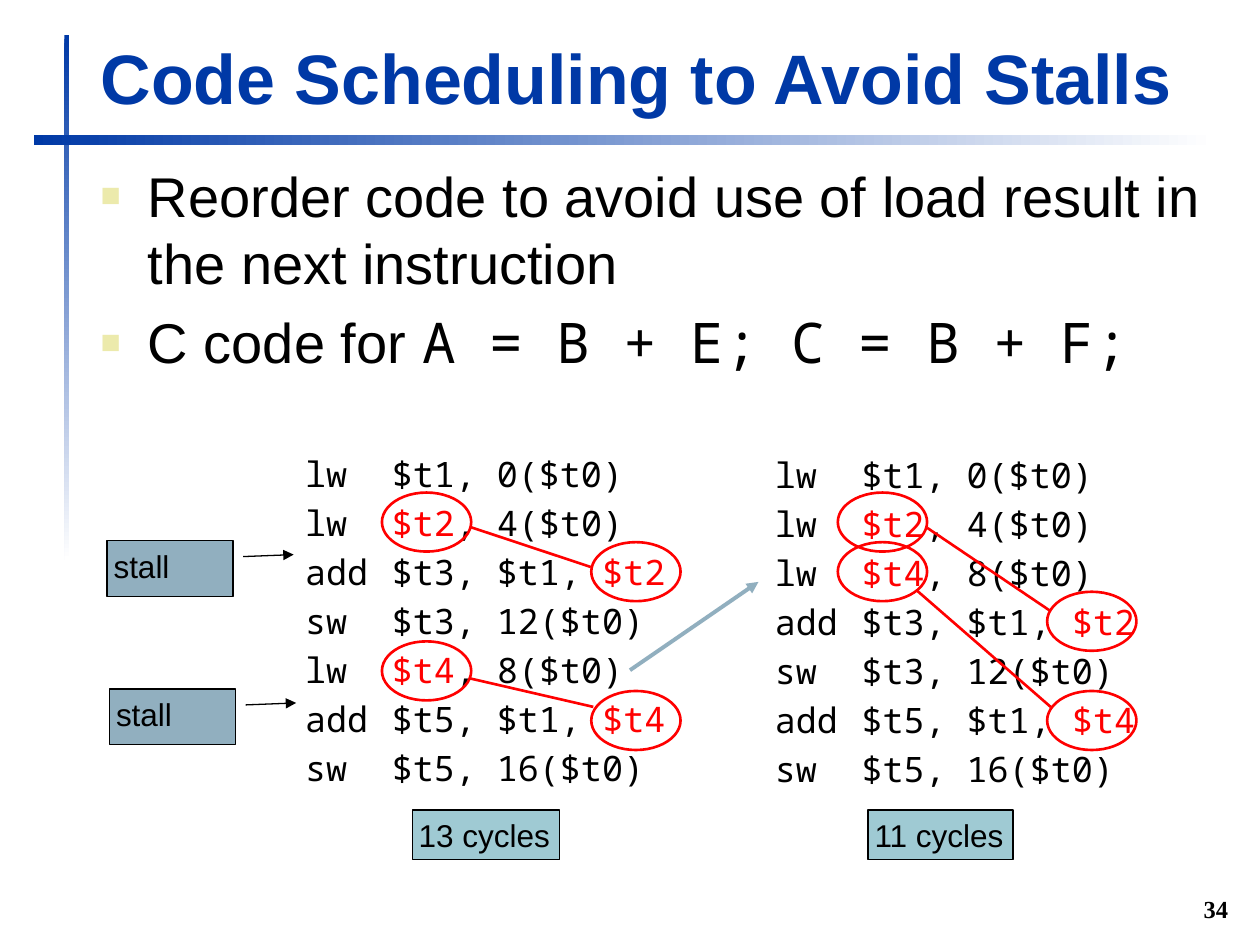
from lxml.etree import SubElement
from pptx import Presentation
from pptx.dml.color import RGBColor
from pptx.enum.shapes import MSO_CONNECTOR, MSO_SHAPE
from pptx.enum.text import MSO_ANCHOR, PP_ALIGN
from pptx.oxml.ns import qn
from pptx.util import Cm, Pt

BLUE = RGBColor(0x00, 0x39, 0xA6)
WHITE = RGBColor(0xFF, 0xFF, 0xFF)
BLACK = RGBColor(0x00, 0x00, 0x00)
RED = RGBColor(0xFF, 0x00, 0x00)
STEEL = RGBColor(0x91, 0xAF, 0xBF)
TEAL = RGBColor(0x9F, 0xCA, 0xD3)
BULLET = RGBColor(0xEC, 0xEA, 0xAC)
SANS, MONO, SERIF = "Arial", "Noto Sans Mono", "Times New Roman"

RING_WIDTH, RING_HEIGHT = 1.8, 1.19
RING_COLUMN_STEP, ROW_STEP = 4.22, 1.0

# Parts between bars are highlighted.
ORIGINAL_CODE = [
    "lw\t$t1, 0($t0)",
    "lw\t|$t2|, 4($t0)",
    "add\t$t3, $t1, |$t2|",
    "sw\t$t3, 12($t0)",
    "lw\t|$t4|, 8($t0)",
    "add\t$t5, $t1, |$t4|",
    "sw\t$t5, 16($t0)",
]
# The second load moves up to the third line.
REORDERED_CODE = (ORIGINAL_CODE[:2] + [ORIGINAL_CODE[4]]
                  + ORIGINAL_CODE[2:4] + ORIGINAL_CODE[5:])


def add_shape(shapes, kind, box, fill=None, line=None, line_width=0.75):
    shape = shapes.add_shape(kind, *[Cm(value) for value in box])
    shape.shadow.inherit = False
    if fill is None:
        shape.fill.background()
    else:
        shape.fill.solid()
        shape.fill.fore_color.rgb = fill
    if line is None:
        shape.line.fill.background()
    else:
        shape.line.color.rgb = line
        shape.line.width = Pt(line_width)
    return shape


def add_line(shapes, start, end, color, width, arrow=False):
    connector = shapes.add_connector(
        MSO_CONNECTOR.STRAIGHT, *[Cm(value) for value in (*start, *end)])
    connector.line.color.rgb = color
    connector.line.width = Pt(width)
    if arrow:
        SubElement(connector.line._get_or_add_ln(), qn("a:tailEnd"), type="triangle")
    SubElement(connector._element.spPr, qn("a:effectLst"))
    return connector


def write_text(shape, paragraphs, size=18, font=SANS, color=BLACK, bold=False,
               align=PP_ALIGN.LEFT, anchor=MSO_ANCHOR.TOP, wrap=True, space_before=0):
    """Each paragraph is a list of (text, overrides) runs."""
    frame = shape.text_frame
    frame.word_wrap = wrap
    frame.vertical_anchor = anchor
    frame.margin_left = frame.margin_right = Cm(0.13)
    frame.margin_top = frame.margin_bottom = Cm(0.13)
    for index, runs in enumerate(paragraphs):
        paragraph = frame.paragraphs[0] if index == 0 else frame.add_paragraph()
        paragraph.alignment = align
        paragraph.space_before = Pt(space_before)
        for text, overrides in runs:
            run = paragraph.add_run()
            run.text = text
            run.font.size = Pt(size)
            run.font.bold = bold
            run.font.name = overrides.get("font", font)
            run.font.color.rgb = overrides.get("color", color)
    return frame


def add_text(shapes, box, paragraphs, **text_format):
    text_box = shapes.add_textbox(*[Cm(value) for value in box])
    return write_text(text_box, paragraphs, **text_format)


def add_gradient_bar(shapes, box, angle):
    bar = add_shape(shapes, MSO_SHAPE.RECTANGLE, box)
    bar.fill.gradient()
    bar.fill.gradient_angle = angle
    for stop, color in zip(bar.fill.gradient_stops, (BLUE, WHITE)):
        stop.color.rgb = color
    bar.fill.gradient_stops[0].position = 0
    bar.fill.gradient_stops[1].position = 1


def add_header(shapes, left, top, width, height):
    add_gradient_bar(shapes, (left + 0.61, top, 0.1, 10.59), 270)
    add_gradient_bar(shapes, (left, top + 2.01, width, 0.2), 0)
    add_text(shapes, (left + 1.21, top - 0.3, 22.94, height),
             [[("Code Scheduling to Avoid Stalls", {})]],
             size=40, color=BLUE, bold=True, anchor=MSO_ANCHOR.BOTTOM)


def add_bullets(shapes, box):
    frame = add_text(shapes, box, [
        [("Reorder code to avoid use of load result in the next instruction", {})],
        [("C code for ", {}), ("A = B + E; C = B + F;", {"font": MONO})],
    ], size=32, space_before=7)
    for paragraph in frame.paragraphs:
        properties = paragraph._p.get_or_add_pPr()
        properties.set("marL", str(Cm(0.95)))
        properties.set("indent", str(-Cm(0.95)))
        color = SubElement(properties, qn("a:buClr"))
        SubElement(color, qn("a:srgbClr"), val=str(BULLET))
        SubElement(properties, qn("a:buSzPct"), val="60000")
        SubElement(properties, qn("a:buFont"), typeface=SANS)
        SubElement(properties, qn("a:buChar"), char="■")


def add_listing(shapes, left, top, code, ring_origin, rings, links):
    """Code with ringed registers (column, row) and the links between them."""
    paragraphs = [
        [(part, {"color": RED} if index % 2 else {})
         for index, part in enumerate(line.split("|")) if part]
        for line in code
    ]
    frame = add_text(shapes, (left, top, 7.98, 6.2), paragraphs,
                     size=20, font=MONO, space_before=4)
    for paragraph in frame.paragraphs:
        tabs = SubElement(paragraph._p.get_or_add_pPr(), qn("a:tabLst"))
        SubElement(tabs, qn("a:tab"), pos=str(Cm(1.75)), algn="l")
    for column, row in rings:
        add_shape(shapes, MSO_SHAPE.OVAL,
                  (left + ring_origin[0] + column * RING_COLUMN_STEP,
                   top + ring_origin[1] + row * ROW_STEP, RING_WIDTH, RING_HEIGHT),
                  line=RED, line_width=1.5)
    for start, end in links:
        add_line(shapes, (left + start[0], top + start[1]),
                 (left + end[0], top + end[1]), RED, 1.5)


def add_stall(shapes, left, top, width, height):
    group = shapes.add_group_shape().shapes
    add_shape(group, MSO_SHAPE.RECTANGLE, (left, top, width, height), STEEL, BLACK)
    add_line(group, (left + 2.74, top + 0.32), (left + 3.76, top + 0.28),
             BLACK, 0.75, arrow=True)
    add_text(group, (left, top, width, 0.97), [[("stall", {})]])


def add_cycle_count(shapes, box, text):
    label = add_shape(shapes, MSO_SHAPE.RECTANGLE, box, TEAL, BLACK)
    write_text(label, [[(text, {})]], wrap=False)


def main():
    presentation = Presentation()
    presentation.slide_width, presentation.slide_height = Cm(25.4), Cm(19.05)
    shapes = presentation.slides.add_slide(presentation.slide_layouts[6]).shapes

    # Title, rules and bullets
    add_header(shapes, 0.69, 0.71, 23.8, 2.11)
    add_bullets(shapes, (1.9, 3.12, 22.99, 5.13))

    # Code before and after scheduling
    add_listing(shapes, 6.02, 8.99, ORIGINAL_CODE, (1.68, -0.06),
                [(0, 1), (1, 2), (0, 4), (1, 5)],
                [((3.45, 1.63), (5.89, 2.44)), ((3.43, 4.68), (5.94, 5.26))])
    add_listing(shapes, 15.49, 9.02, REORDERED_CODE, (1.4, -0.09),
                [(0, 1), (1, 3), (0, 2), (1, 5)],
                [((3.2, 1.62), (5.69, 3.3)), ((3, 2.89), (5.69, 5.23))])
    add_line(shapes, (12.7, 13.51), (15.29, 11.73), STEEL, 2.25, arrow=True)

    # Stalls and cycle counts
    add_stall(shapes, 2.16, 10.9, 2.54, 1.12)
    add_stall(shapes, 2.21, 13.89, 2.54, 1.12)
    add_cycle_count(shapes, (8.31, 16.33, 2.97, 1), "13 cycles")
    add_cycle_count(shapes, (17.5, 16.33, 2.92, 1), "11 cycles")

    # Slide number
    add_text(shapes, (24.05, 17.93, 0.84, 0.81), [[("34", {})]], size=14, font=SERIF,
             bold=True, align=PP_ALIGN.RIGHT, anchor=MSO_ANCHOR.BOTTOM, wrap=False)

    presentation.save("out.pptx")


if __name__ == "__main__":
    main()
